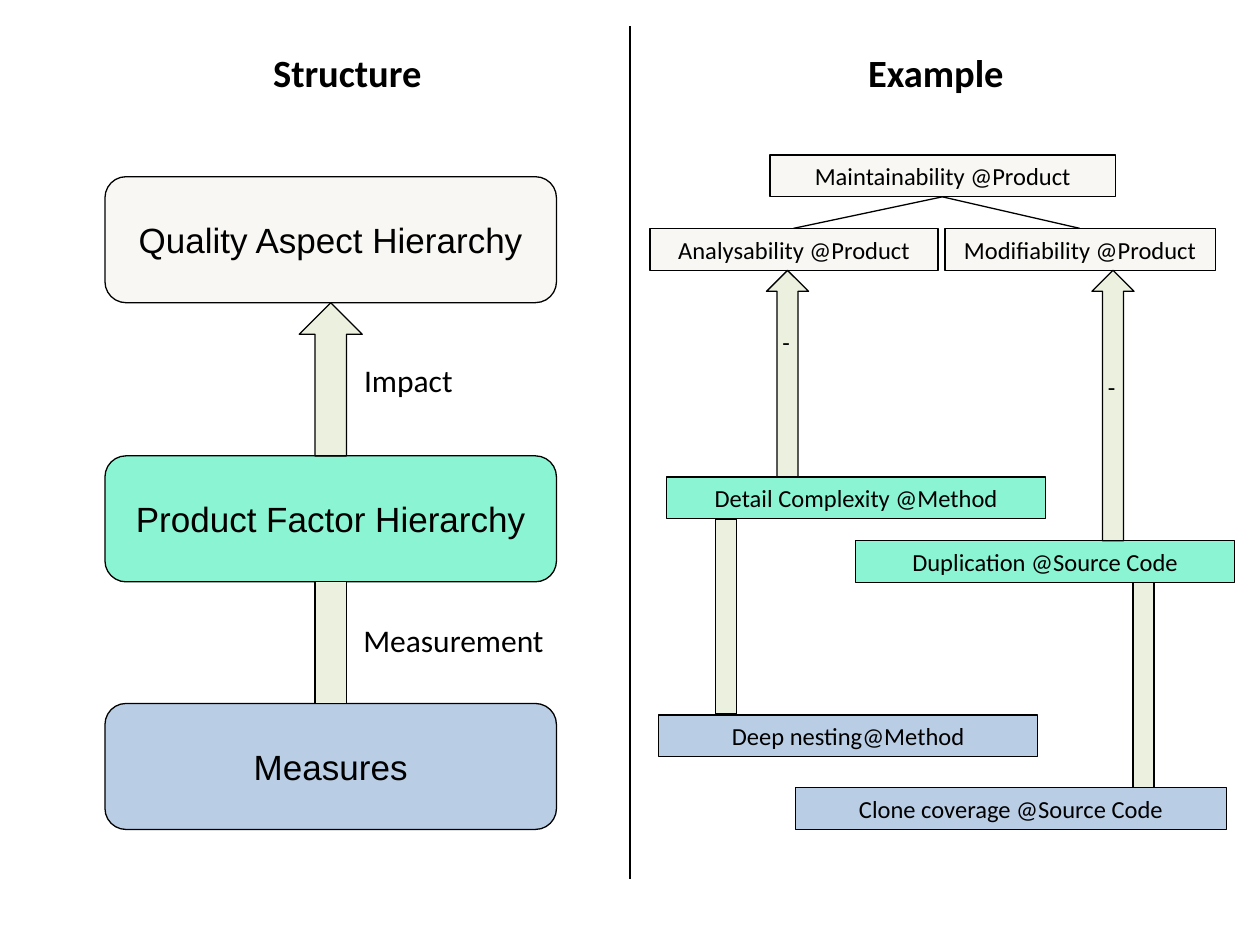
from pptx import Presentation
from pptx.dml.color import RGBColor
from pptx.enum.shapes import MSO_CONNECTOR, MSO_SHAPE as SHAPE
from pptx.enum.text import MSO_ANCHOR, MSO_AUTO_SIZE, PP_ALIGN
from pptx.oxml.ns import qn
from pptx.util import Pt
from lxml.etree import SubElement

BLACK, CREAM, MINT, BLUE, OLIVE = "000000", "F8F7F3", "8AF4D3", "B9CDE5", "EBF1DE"


def rgb(value):
    return RGBColor.from_string(value)


def set_text(tf, text, size, font, bold=False, align=PP_ALIGN.LEFT):
    tf.text = text
    p = tf.paragraphs[0]
    p.alignment = align
    f = p.runs[0].font
    f.size, f.name, f.bold = Pt(size), font, bold
    f.color.rgb = rgb(BLACK)


def add_block(s, kind, x, y, w, h, fill):
    sp = s.shapes.add_shape(kind, Pt(x), Pt(y), Pt(w), Pt(h))
    sp.shadow.inherit = False
    sp.fill.solid()
    sp.fill.fore_color.rgb = rgb(fill)
    sp.line.color.rgb = rgb(BLACK)
    sp.line.width = Pt(0.75)
    return sp


def add_box(s, kind, x, y, w, h, fill, text, size, font):
    tf = add_block(s, kind, x, y, w, h, fill).text_frame
    tf.word_wrap = True
    tf.vertical_anchor = MSO_ANCHOR.MIDDLE
    set_text(tf, text, size, font, align=PP_ALIGN.CENTER)


def add_label(s, x, y, w, h, text, size, bold=False):
    tf = s.shapes.add_textbox(Pt(x), Pt(y), Pt(w), Pt(h)).text_frame
    tf.word_wrap = False
    tf.auto_size = MSO_AUTO_SIZE.SHAPE_TO_FIT_TEXT
    set_text(tf, text, size, "Calibri", bold)


def add_line(s, x1, y1, x2, y2, width):
    c = s.shapes.add_connector(MSO_CONNECTOR.STRAIGHT, Pt(x1), Pt(y1), Pt(x2), Pt(y2))
    c.line.color.rgb = rgb(BLACK)
    c.line.width = Pt(width)
    SubElement(c._element.spPr, qn("a:effectLst"))


def add_structure(s):
    add_label(s, 149, 24.5, 100, 34, "Structure", 22, True)
    # Three levels
    for y, fill, text in ((101, CREAM, "Quality Aspect Hierarchy"),
                          (260.5, MINT, "Product Factor Hierarchy"),
                          (402, BLUE, "Measures")):
        add_box(s, SHAPE.ROUNDED_RECTANGLE, 60, y, 258, 72, fill, text, 20, "Arial")
    # Links between the levels
    add_block(s, SHAPE.UP_ARROW, 171, 173, 36, 87.5, OLIVE)
    add_block(s, SHAPE.RECTANGLE, 180, 332.5, 18, 69.5, OLIVE)
    add_label(s, 201, 202.5, 75, 31.5, "Impact", 18)
    add_label(s, 200.5, 351.5, 137.5, 31.5, "Measurement", 18)


def add_example(s):
    add_label(s, 489, 24.5, 93, 34, "Example", 22, True)
    # Quality aspects, product factors and measures
    for x, y, w, fill, text in (
            (440, 88.5, 197.5, CREAM, "Maintainability @Product"),
            (371.5, 130.5, 164.5, CREAM, "Analysability @Product"),
            (540, 130.5, 154.5, CREAM, "Modifiability @Product"),
            (381, 272.5, 216.5, MINT, "Detail Complexity @Method"),
            (489, 309, 216.5, MINT, "Duplication @Source Code"),
            (376.5, 408.5, 216.5, BLUE, "Deep nesting@Method"),
            (454.5, 450, 246.5, BLUE, "Clone coverage @Source Code")):
        add_box(s, SHAPE.RECTANGLE, x, y, w, 24, fill, text, 14, "Calibri")
    # Refinement of the quality aspect
    for x in (453.5, 617):
        add_line(s, 538.5, 112.5, x, 130.5, 0.75)
    # Negative impacts
    for x, h, sign_y in ((438, 118, 183.5), (624, 154.5, 209)):
        add_block(s, SHAPE.UP_ARROW, x, 154.5, 24, h, OLIVE)
        add_label(s, x + 2, sign_y, 18.5, 24.5, "-", 14)
    # Measurements
    for x, y, h in ((409, 296.5, 111.5), (647.5, 333, 117)):
        add_block(s, SHAPE.RECTANGLE, x, y, 12, h, OLIVE)


def main():
    prs = Presentation()
    prs.slide_width, prs.slide_height = Pt(720), Pt(540)
    s = prs.slides.add_slide(prs.slide_layouts[6])
    add_example(s)
    add_structure(s)
    # Divider
    add_line(s, 360, 15, 360, 502.5, 1.5)
    prs.save("out.pptx")


main()
